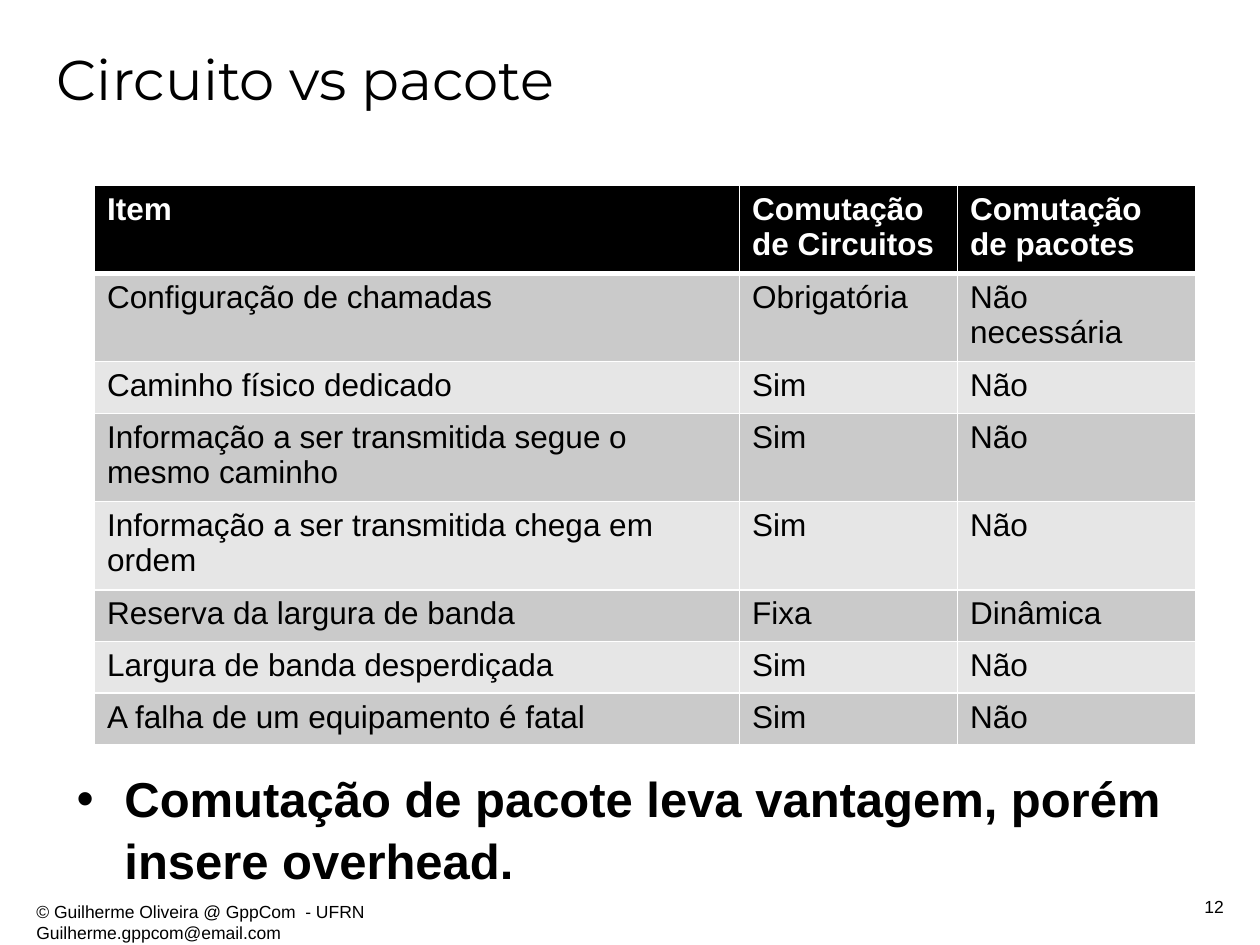
import pptx
import pptx.dml.color
import pptx.enum.text
import pptx.oxml
import pptx.oxml.ns
import pptx.util
from pptx.util import Inches

BLACK, WHITE = "000000", "FFFFFF"
BAND_FILLS = ("CACACA", "E6E6E6")
COLUMN_WIDTHS = (5.12, 1.73, 1.89)
ROW_HEIGHT = 0.41
ROWS = (
    ("Item", "Comutação de Circuitos", "Comutação de pacotes"),
    ("Configuração de chamadas", "Obrigatória", "Não necessária"),
    ("Caminho físico dedicado", "Sim", "Não"),
    ("Informação a ser transmitida segue o mesmo caminho", "Sim", "Não"),
    ("Informação a ser transmitida chega em ordem", "Sim", "Não"),
    ("Reserva da largura de banda", "Fixa", "Dinâmica"),
    ("Largura de banda desperdiçada", "Sim", "Não"),
    ("A falha de um equipamento é fatal", "Sim", "Não"),
)


def color(hex_string):
    return pptx.dml.color.RGBColor.from_string(hex_string)


def set_font(paragraph, size, name="Arial", hex_string=BLACK, bold=False):
    font = paragraph.font
    font.size = pptx.util.Pt(size)
    font.name = name
    font.bold = bold
    font.color.rgb = color(hex_string)


def add_title(slide, text):
    title = slide.shapes.title
    title.left, title.top = Inches(0.35), Inches(0.3)
    title.width, title.height = Inches(9.15), Inches(0.87)
    title.text_frame.text = text
    title.text_frame.vertical_anchor = pptx.enum.text.MSO_ANCHOR.TOP
    paragraph = title.text_frame.paragraphs[0]
    paragraph.alignment = pptx.enum.text.PP_ALIGN.LEFT
    set_font(paragraph, 32, "Montserrat")


def add_text(slide, left, top, width, height, lines, size, bold=False,
             alignment=pptx.enum.text.PP_ALIGN.LEFT, bullet=False):
    box = slide.shapes.add_textbox(
        Inches(left), Inches(top), Inches(width), Inches(height))
    box.text_frame.word_wrap = True
    box.text_frame.text = "\n".join(lines)
    for paragraph in box.text_frame.paragraphs:
        paragraph.alignment = alignment
        if bullet:
            paragraph.line_spacing = 1.05
            add_bullet(paragraph, 0.38)
        set_font(paragraph, size, bold=bold)


def add_bullet(paragraph, indent):
    properties = paragraph._p.get_or_add_pPr()
    properties.set("marL", str(Inches(indent)))
    properties.set("indent", str(-Inches(indent)))
    namespace = pptx.oxml.ns.nsdecls("a")
    properties.append(pptx.oxml.parse_xml(
        f'<a:buClr {namespace}><a:srgbClr val="{BLACK}"/></a:buClr>'))
    properties.append(pptx.oxml.parse_xml(
        f'<a:buFont {namespace} typeface="Arial"/>'))
    properties.append(pptx.oxml.parse_xml(
        f'<a:buChar {namespace} char="•"/>'))


def set_borders(cell, top, bottom):
    """Draw white cell borders; top and bottom are widths in points."""
    properties = cell._tc.get_or_add_tcPr()
    widths = {"lnL": 1, "lnR": 1, "lnT": top, "lnB": bottom}
    for index, (tag, width) in enumerate(widths.items()):
        properties.insert(index, pptx.oxml.parse_xml(
            f'<a:{tag} {pptx.oxml.ns.nsdecls("a")} w="{pptx.util.Pt(width)}">'
            f'<a:solidFill><a:srgbClr val="{WHITE}"/></a:solidFill></a:{tag}>'))


def add_comparison_table(slide):
    table = slide.shapes.add_table(
        len(ROWS), len(COLUMN_WIDTHS), Inches(0.75), Inches(1.47),
        Inches(sum(COLUMN_WIDTHS)), Inches(ROW_HEIGHT * len(ROWS))).table
    for column, width in zip(table.columns, COLUMN_WIDTHS):
        column.width = Inches(width)
    for row_index, texts in enumerate(ROWS):
        header = row_index == 0
        fill = BLACK if header else BAND_FILLS[(row_index - 1) % 2]
        for column_index, text in enumerate(texts):
            cell = table.cell(row_index, column_index)
            cell.text = text
            cell.fill.solid()
            cell.fill.fore_color.rgb = color(fill)
            set_font(cell.text_frame.paragraphs[0], 18,
                     hex_string=WHITE if header else BLACK, bold=header)
            set_borders(cell, top=3 if row_index == 1 else 1,
                        bottom=3 if header else 1)


def main():
    presentation = pptx.Presentation()
    presentation.slide_width = Inches(10)
    presentation.slide_height = Inches(7.5)
    slide = presentation.slides.add_slide(presentation.slide_layouts[5])

    add_text(slide, 0.19, 7.1, 7.72, 0.35,
             ["© Guilherme Oliveira @ GppCom  - UFRN",
              "Guilherme.gppcom@email.com"], 10)
    add_title(slide, "Circuito vs pacote")
    add_text(slide, 8.39, 7.06, 1.42, 0.31, ["12"], 10,
             alignment=pptx.enum.text.PP_ALIGN.RIGHT)
    add_text(slide, 0.51, 6.03, 9.13, 0.84,
             ["Comutação de pacote leva vantagem, porém insere overhead."],
             28, bold=True, bullet=True)
    add_comparison_table(slide)
    presentation.save("out.pptx")


if __name__ == "__main__":
    main()
